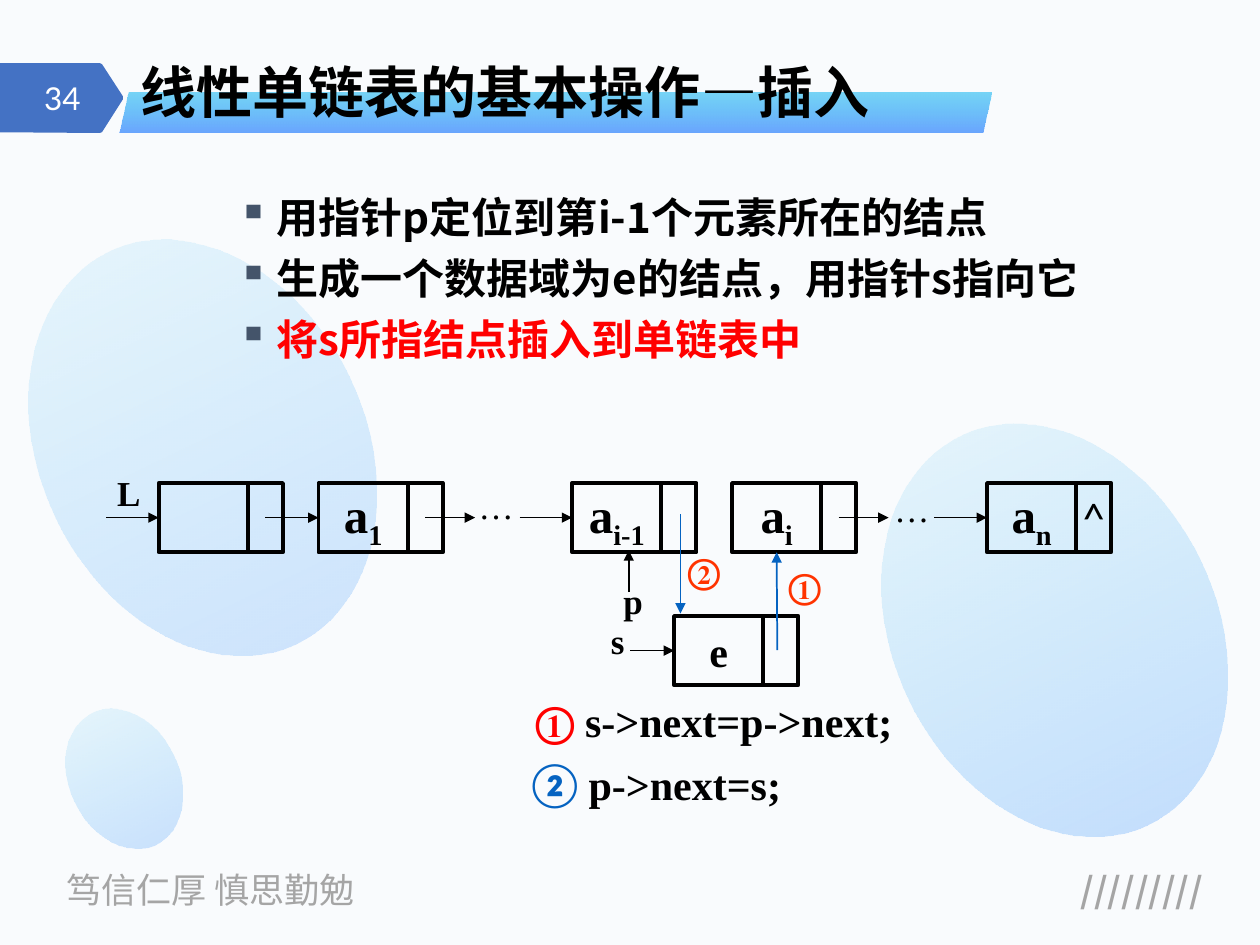
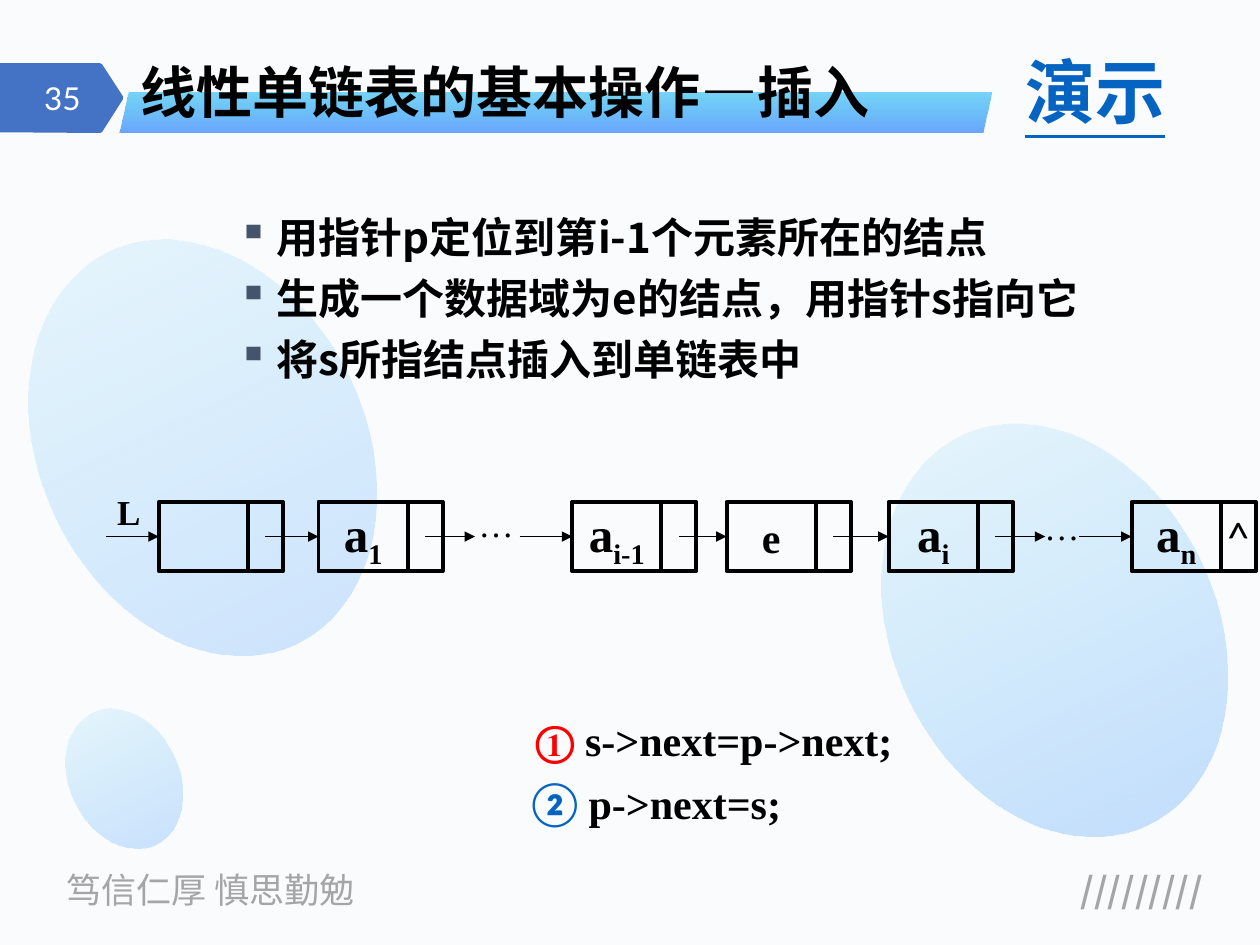
import pptx
import pptx.dml.color
import pptx.enum.shapes
import pptx.enum.text
import pptx.oxml
import pptx.oxml.ns
import pptx.util
from lxml import etree

Pt = pptx.util.Pt
Shape = pptx.enum.shapes.MSO_SHAPE
Align = pptx.enum.text.PP_ALIGN
Anchor = pptx.enum.text.MSO_ANCHOR
qn = pptx.oxml.ns.qn

SANS, SERIF, LATO = "Noto Sans CJK SC", "Times New Roman", "Lato"
BLACK, RED, ORANGE, BLUE = "000000", "FF0000", "FF3300", "0563C1"
GREY, WHITE, SLATE, NAVY = "A5A5A5", "FFFFFF", "44546A", "4472C4"
PAPER, SKY, AZURE = "F9FBFD", "00B0F0", "3385FF"

DATA_W, LINK_W, NODE_H = 51, 20, 39.6
STEP = 28.5   # length of a pointer arrow
ROW_Y = 276   # top of the list nodes on the first slide


def color(code):
    return pptx.dml.color.RGBColor.from_string(code)


def sub(parent, tag, **attrs):
    """Append one DrawingML element."""
    return etree.SubElement(parent, qn("a:" + tag), attrs)


def east(font):
    """Use the Latin face for Chinese text too."""
    sub(font._element, "ea", typeface=font.name)


class Deck:
    """Holds the shared style and the slide being drawn."""

    def __init__(self):
        self.file = pptx.Presentation()
        self.file.slide_width, self.file.slide_height = Pt(720), Pt(540)

    def start(self, number, title):
        self.slide = self.file.slides.add_slide(self.file.slide_layouts[6])
        self.shapes = self.slide.shapes
        fill = self.slide.background.fill
        fill.solid()
        fill.fore_color.rgb = color(PAPER)
        self.text(31, 492.5, 194.5, 31.5, "笃信仁厚 慎思勤勉", 20, SANS, GREY, bold=False)
        self.text(552, 492.5, 142.5, 31.5, "/////////", 20, SANS, GREY, align=Align.RIGHT)
        for x, y, w, h, alpha in ((39.6, 403.2, 62.6, 83.5, 24),
                                  (510.5, 236.9, 184.3, 246.2, 27),
                                  (23, 131.8, 185.8, 247.7, 22)):
            oval = self.shade(Shape.OVAL, x, y, w, h, (AZURE, alpha), (SKY, 8))
            oval.rotation = 154.4
        self.tag()
        self.text(7.2, 41.8, 46, 28.8, str(number), 18, LATO, WHITE, bold=False,
                  align=Align.RIGHT, anchor=Anchor.MIDDLE)
        band = self.shade(Shape.PARALLELOGRAM, 68.4, 52.6, 498.2, 23, (SKY, 52), (AZURE, 73))
        band.adjustments[0] = 0.233
        head = self.text(73.4, 28.8, 493.2, 46.8, title, 32, SANS, anchor=Anchor.BOTTOM)
        head.text_frame.paragraphs[0].line_spacing = 0.9

    def tag(self):
        """Arrow-shaped flag behind the slide number."""
        build = self.shapes.build_freeform(0, Pt(36))
        points = ((57, 36), (58.3, 36.7), (70.2, 55), (70.2, 56.8), (58.3, 75.5), (57, 76), (0, 75.6))
        build.add_line_segments([(Pt(x), Pt(y)) for x, y in points])
        flag = build.convert_to_shape()
        flag.shadow.inherit = False
        flag.fill.solid()
        flag.fill.fore_color.rgb = color(NAVY)
        flag.line.fill.background()

    def shape(self, kind, x, y, w, h):
        item = self.shapes.add_shape(kind, Pt(x), Pt(y), Pt(w), Pt(h))
        item.shadow.inherit = False
        item.fill.background()
        return item

    def shade(self, kind, x, y, w, h, *stops):
        """Shape with a vertical gradient of (colour, opacity) stops."""
        item = self.shape(kind, x, y, w, h)
        item.line.fill.background()
        grad = etree.Element(qn("a:gradFill"), rotWithShape="1")
        row = sub(grad, "gsLst")
        for pos, (code, alpha) in zip((0, 100000), stops):
            tint = sub(sub(row, "gs", pos=str(pos)), "srgbClr", val=code)
            sub(tint, "alpha", val=str(alpha * 1000))
        sub(grad, "lin", ang="5400000", scaled="0")
        old = item._element.spPr.find(qn("a:noFill"))
        old.getparent().replace(old, grad)
        return item

    def style(self, para, size, face, code, bold):
        font = para.font
        font.size, font.bold, font.name = Pt(size), bold, face
        font.color.rgb = color(code)
        east(font)

    def text(self, x, y, w, h, words, size, face=SERIF, code=BLACK, bold=True,
             align=Align.LEFT, anchor=Anchor.TOP):
        box = self.shapes.add_textbox(Pt(x), Pt(y), Pt(w), Pt(h))
        frame = box.text_frame
        frame.word_wrap, frame.vertical_anchor = True, anchor
        para = frame.paragraphs[0]
        para.text, para.alignment = words, align
        self.style(para, size, face, code, bold)
        return box

    def list(self, y, items):
        """Bulleted list of (words, colour) items."""
        box = self.shapes.add_textbox(Pt(92.9), Pt(y), Pt(612), Pt(324))
        frame = box.text_frame
        frame.word_wrap = True
        for i, (words, code) in enumerate(items):
            para = frame.add_paragraph() if i else frame.paragraphs[0]
            para.text = words
            if i:
                para.space_before = Pt(6)
            props = para._p.get_or_add_pPr()
            props.set("marL", str(Pt(58.3)))
            props.set("indent", str(Pt(-22.3)))
            sub(sub(props, "buClr"), "srgbClr", val=SLATE)
            sub(props, "buChar", char="▪")
            self.style(para, 24, SANS, code, True)

    def cell(self, x, y, w, words="", low="", size=28, face=SERIF, bold=True):
        """Box with centred words and an optional subscript."""
        box = self.shape(Shape.RECTANGLE, x, y, w, NODE_H)
        box.line.color.rgb, box.line.width = color(BLACK), Pt(2.25)
        if words:
            frame = box.text_frame
            frame.word_wrap, frame.vertical_anchor = False, Anchor.MIDDLE
            para = frame.paragraphs[0]
            para.alignment = Align.CENTER
            para.add_run().text = words
            if low:
                run = para.add_run()
                run.text = low
                run._r.get_or_add_rPr().set("baseline", "-25000")
            self.style(para, size, face, BLACK, bold)
        return box

    def node(self, x, y, words="", low="", size=28, last=False):
        """List node; gives back its data cell."""
        data = self.cell(x, y, DATA_W, words, low, size)
        self.cell(x + DATA_W, y, LINK_W, "^" if last else "", size=24, face=LATO, bold=False)
        return data

    def arrow(self, x1, y1, x2, y2, code=BLACK, width=0.75, goal=None, side=1):
        """Arrow that ends at a point, or at one side of the goal."""
        line = self.shapes.add_connector(pptx.enum.shapes.MSO_CONNECTOR.STRAIGHT,
                                         Pt(x1), Pt(y1), Pt(x2), Pt(y2))
        line.line.color.rgb, line.line.width = color(code), Pt(width)
        sub(line.line._get_or_add_ln(), "tailEnd", type="triangle")
        sub(line._element.spPr, "effectLst")
        if goal is not None:
            line.end_connect(goal, side)

    def enter(self, x, y, goal):
        """Arrow into a node from the left."""
        mid = y + NODE_H / 2
        self.arrow(x - 30, mid, x, mid, goal=goal)

    def leave(self, x, y, goal=None):
        """Arrow out of a node's link cell."""
        start, mid = x + DATA_W + LINK_W / 2, y + NODE_H / 2
        self.arrow(start, mid, start + STEP, mid, goal=goal)

    def chain(self, y, spots, dots):
        """Linked list: spots are (x, words, subscript, size), dots the two gaps."""
        cells = [self.node(x, y, words, low, size, last=low == "n")
                 for x, words, low, size in spots]
        self.text(59.8, y - 10.1, 28, 31, "L", 20)
        for x, drop in zip(dots, (-2.9, -1.2)):
            self.text(x, y + drop, 54, 31, "…", 20, bold=False)
        xs = [spot[0] for spot in spots]
        for i in (0, 2, len(xs) - 1):
            self.enter(xs[i], y, cells[i])
        self.leave(xs[0], y, cells[1])
        self.leave(xs[1], y)
        self.leave(xs[-2], y)
        return cells

    def code(self, x, y, mark, words, face, tint):
        box = self.text(x, y, 276, 36, "", 24)
        para = box.text_frame.paragraphs[0]
        first = para.add_run()
        first.text = mark + " "
        first.font.color.rgb, first.font.name = color(tint), face
        east(first.font)
        para.add_run().text = words

    def steps(self, y):
        self.code(298.8, y, "①", "s->next=p->next;", SERIF, RED)
        self.code(296.6, y + 36, "②", "p->next=s;", LATO, BLUE)


TITLE = "线性单链表的基本操作—插入"
POINTS = ("用指针p定位到第i-1个元素所在的结点",
          "生成一个数据域为e的结点，用指针s指向它",
          "将s所指结点插入到单链表中")
FRONT = [(90.7, "", "", 28), (182, "a", "1", 28), (327, "a", "i-1", 28)]


def before(deck):
    deck.start(34, TITLE)
    deck.list(105.8, zip(POINTS, (BLACK, BLACK, RED)))
    spots = FRONT + [(418.3, "a", "i", 28), (564, "a", "n", 28)]
    cells = deck.chain(ROW_Y, spots, (266.4, 504))
    fresh = deck.node(385.2, 352, "e", size=24)
    deck.arrow(359.3, 338.4, 359.3, 314.5, width=1)
    deck.text(349.2, 327.6, 30, 31, "p", 20)
    deck.arrow(360, 371.8, 385.2, 371.8, goal=fresh)
    deck.text(342, 350.6, 30, 31, "s", 20)
    deck.arrow(388.8, 293.8, 388.8, 350.6, BLUE, 1)
    deck.text(385.9, 310.3, 36, 31, "②", 20, code=ORANGE)
    deck.arrow(444.2, 371.5, 444.2, 315.6, BLUE, 1, goal=cells[3], side=2)
    deck.text(443.5, 319, 36, 31, "①", 20, code=ORANGE)
    deck.steps(393.8)


def after(deck):
    deck.start(35, TITLE)
    demo = deck.text(578.9, 28.8, 100, 50.4, "演示", 40, LATO, BLUE, anchor=Anchor.BOTTOM)
    demo.text_frame.paragraphs[0].font.underline = True
    deck.list(117.2, [(words, BLACK) for words in POINTS])
    y = ROW_Y + 10.8
    spots = FRONT + [(415.2, "e", "", 24), (507.8, "a", "i", 28), (646.6, "a", "n", 28)]
    cells = deck.chain(y, spots, (266.4, 589.7))
    for i in (2, 3):
        deck.leave(spots[i][0], y, cells[i + 1])
    deck.steps(405)


def main():
    deck = Deck()
    before(deck)
    after(deck)
    deck.file.save("out.pptx")


if __name__ == "__main__":
    main()
